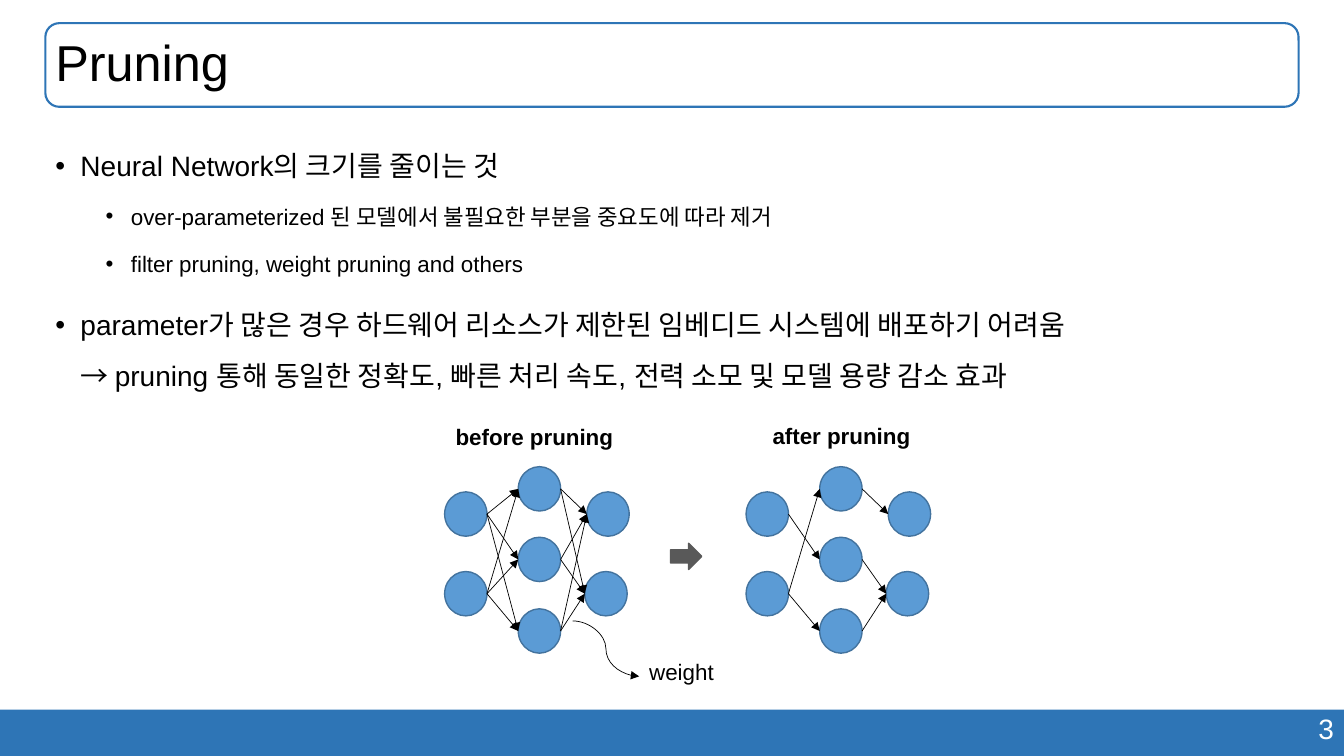
"""Builds the slide that explains neural network pruning."""
from lxml import etree
from pptx import Presentation
from pptx.dml.color import RGBColor
from pptx.enum.shapes import MSO_CONNECTOR, MSO_SHAPE
from pptx.enum.text import MSO_ANCHOR, PP_ALIGN
from pptx.oxml.ns import qn
from pptx.util import Inches, Pt

STRAIGHT, CURVE = MSO_CONNECTOR.STRAIGHT, MSO_CONNECTOR.CURVE
LEFT, CENTER, RIGHT = PP_ALIGN.LEFT, PP_ALIGN.CENTER, PP_ALIGN.RIGHT
TOP, MIDDLE = MSO_ANCHOR.TOP, MSO_ANCHOR.MIDDLE
RECT, ROUNDED = MSO_SHAPE.RECTANGLE, MSO_SHAPE.ROUNDED_RECTANGLE
OVAL, RIGHT_ARROW = MSO_SHAPE.OVAL, MSO_SHAPE.RIGHT_ARROW

BLUE = RGBColor(0x2E, 0x75, 0xB6)
NODE_FILL = RGBColor(0x5B, 0x9B, 0xD5)
NODE_LINE = RGBColor(0x43, 0x73, 0x9E)
GRAY = RGBColor(0x59, 0x59, 0x59)
BLACK = RGBColor(0, 0, 0)
WHITE = RGBColor(255, 255, 255)


def add_shape(shapes, kind, box, fill, line, width=1):
    sp = shapes.add_shape(kind, *map(Inches, box))
    sp.shadow.inherit = False
    if fill is None:
        sp.fill.background()
    else:
        sp.fill.solid()
        sp.fill.fore_color.rgb = fill
    if line is None:
        sp.line.fill.background()
    else:
        sp.line.color.rgb = line
        sp.line.width = Pt(width)


def add_arrow(shapes, kind, start, end):
    cxn = shapes.add_connector(kind, *map(Inches, start + end))
    cxn.line.color.rgb = BLACK
    cxn.line.width = Pt(0.5)
    etree.SubElement(cxn.line._get_or_add_ln(), qn("a:tailEnd"), type="triangle")
    etree.SubElement(cxn._element.spPr, qn("a:effectLst"))


prs = Presentation()
prs.slide_width, prs.slide_height = Inches(13.33), Inches(7.5)
s = prs.slides.add_slide(prs.slide_layouts[6])

add_shape(s.shapes, RECT, (0, 7.04, 13.33, 0.46), BLUE, None)
add_shape(s.shapes, ROUNDED, (0.45, 0.23, 12.43, 0.83), None, BLUE, 1.5)

labels = [
    ("3", (9.43, 7.01, 3.9, 0.44), True, TOP, RIGHT, 1.0,
     {"size": Pt(20), "color": WHITE, "bold": False}),
    ("Pruning", (0.45, 0.23, 12.43, 0.83), True, MIDDLE, LEFT, 0.9,
     {"size": Pt(36), "color": BLACK, "bold": False}),
    ("weight", (6.34, 6.48, 0.85, 0.37), False, TOP, LEFT, 1.0,
     {"size": Pt(16), "color": BLACK, "bold": False}),
    ("before pruning", (4.41, 4.15, 1.78, 0.37), False, TOP, CENTER, 1.0,
     {"size": Pt(16), "color": BLACK, "bold": True}),
    ("after pruning", (7.55, 4.14, 1.59, 0.37), False, TOP, CENTER, 1.0,
     {"size": Pt(16), "color": BLACK, "bold": True}),
]
for text, box, wrap, anchor, align, spacing, formats in labels:
    tf = s.shapes.add_textbox(*map(Inches, box)).text_frame
    tf.word_wrap = wrap
    tf.vertical_anchor = anchor
    p = tf.paragraphs[0]
    p.text, p.alignment, p.line_spacing = text, align, spacing
    font = p.runs[0].font
    font.name = "Arial"
    for name, value in formats.items():
        if name == "color":
            font.color.rgb = value
        else:
            setattr(font, name, value)

bullets = [
    (0, "Neural Network의 크기를 줄이는 것"),
    (1, "over-parameterized 된 모델에서 불필요한 부분을 중요도에 따라 제거"),
    (1, "filter pruning, weight pruning and others"),
    (0, "parameter가 많은 경우 하드웨어 리소스가 제한된 임베디드 시스템에 배포하기 어려움\v"
        "→ pruning 통해 동일한 정확도, 빠른 처리 속도, 전력 소모 및 모델 용량 감소 효과"),
]
LEVELS = [
    {"size": 20, "before": 10, "margin": 0.25},
    {"size": 16, "before": 5, "margin": 0.75},
]
tf = s.shapes.add_textbox(*map(Inches, (0.45, 1.26, 12.43, 5.53))).text_frame
tf.word_wrap = True
for i, (level, text) in enumerate(bullets):
    look = LEVELS[level]
    p = tf.paragraphs[0] if i == 0 else tf.add_paragraph()
    p.text, p.level, p.line_spacing = text, level, 1.5
    p.space_before = Pt(look["before"] if i else 0)
    pPr = p._p.get_or_add_pPr()
    pPr.set("marL", str(Inches(look["margin"])))
    pPr.set("indent", str(Inches(-0.25)))
    etree.SubElement(pPr, qn("a:buFont"), typeface="Arial")
    etree.SubElement(pPr, qn("a:buChar"), char="•")
    for r in p.runs:
        r.font.name, r.font.size = "Arial", Pt(look["size"])
        r.font.color.rgb = BLACK

NODE_W, NODE_H = 0.42, 0.44
INPUTS = [(0, 4.88), (0, 5.67)]
HIDDEN = [(0.73, 4.63), (0.73, 5.33), (0.73, 6.04)]
OUTPUTS = [(1.41, 4.88), (1.39, 5.67)]
all_in = [(i, h) for i in range(2) for h in range(3)]
all_out = [(h, o) for h in range(3) for o in range(2)]
networks = [
    (4.41, all_in, all_out),
    (7.4, [(0, 1), (1, 0), (1, 2)], [(0, 0), (1, 1), (2, 1)]),
]
for left, in_links, out_links in networks:
    group = s.shapes.add_group_shape().shapes
    for x, y in HIDDEN + OUTPUTS + INPUTS:
        add_shape(group, OVAL, (left + x, y, NODE_W, NODE_H), NODE_FILL, NODE_LINE)
    links = [(INPUTS[i], HIDDEN[h]) for i, h in in_links]
    links += [(HIDDEN[h], OUTPUTS[o]) for h, o in out_links]
    for (x1, y1), (x2, y2) in links:
        add_arrow(group, STRAIGHT, (left + x1 + NODE_W, y1 + NODE_H / 2),
                  (left + x2, y2 + NODE_H / 2))

add_arrow(s.shapes, CURVE, (5.68, 6.16), (6.34, 6.71))
add_shape(s.shapes, RIGHT_ARROW, (6.65, 5.39, 0.31, 0.26), GRAY, GRAY)

prs.save("out.pptx")
